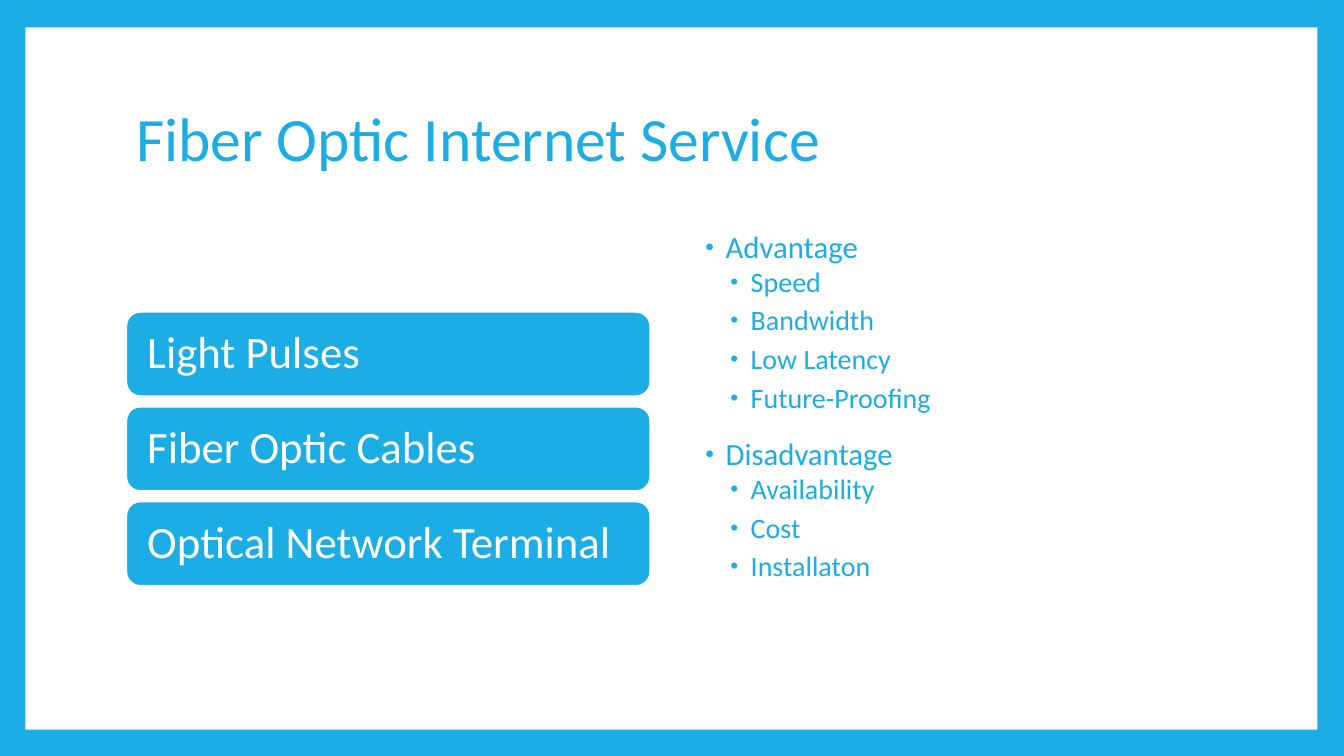
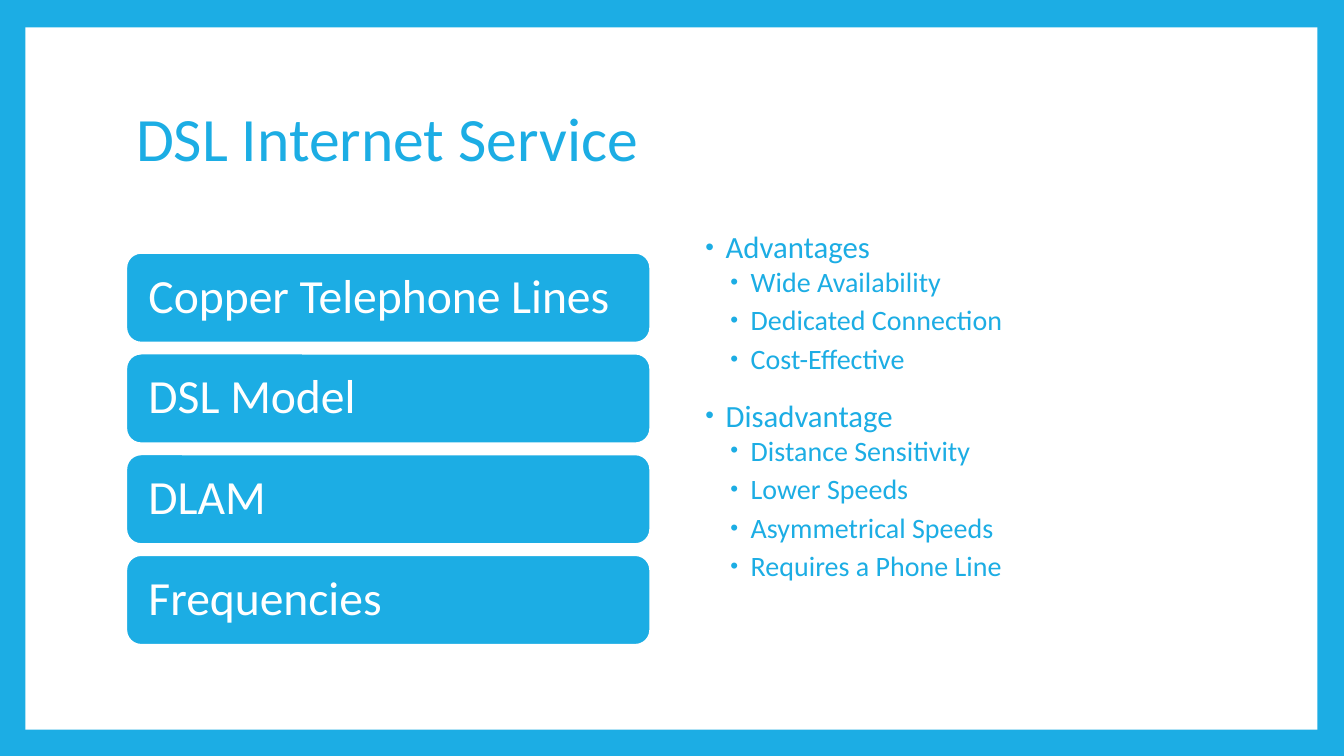
from dataclasses import dataclass
from typing import NamedTuple

from lxml import etree
from pptx import Presentation
from pptx.dml.color import RGBColor
from pptx.enum.shapes import MSO_SHAPE
from pptx.enum.text import MSO_ANCHOR, PP_ALIGN
from pptx.oxml.ns import qn
from pptx.util import Cm, Pt

RECTANGLE = MSO_SHAPE.RECTANGLE
ROUNDED = MSO_SHAPE.ROUNDED_RECTANGLE
MIDDLE = MSO_ANCHOR.MIDDLE
LEFT = PP_ALIGN.LEFT


class Box(NamedTuple):
    left: float
    top: float
    width: float
    height: float

    def lengths(self):
        return [Cm(value) for value in self]


class Level(NamedTuple):
    size: int
    margin: float
    before: int
    after: int


@dataclass(frozen=True)
class Theme:
    accent: RGBColor = RGBColor(0x1C, 0xAD, 0xE4)
    paper: RGBColor = RGBColor(0xFF, 0xFF, 0xFF)
    font: str = "Calibri"
    title_size: int = 44
    line_spacing: float = 0.9
    bar_outline: float = 1.5
    heading: Level = Level(22, 0.64, 14, 0)
    item: Level = Level(20, 1.27, 2, 4)
    hanging: float = 0.51
    bullet_percent: int = 80


THEME = Theme()
PAGE_WIDTH, PAGE_HEIGHT = 33.87, 19.05
PANEL = Box(0.64, 0.69, 32.56, 17.7)
TITLE = Box(3.18, 1.7, 27.43, 3.76)
BARS = Box(3.18, 5.72, 13.21, 11.18)
POINTS = Box(17.4, 5.72, 13.21, 11.18)

SERVICES = [
    {
        "title": "Fiber Optic Internet Service",
        "bars": ["Light Pulses", "Fiber Optic Cables", "Optical Network Terminal"],
        "bar_size": 32,
        "points": {
            "Advantage": ["Speed", "Bandwidth", "Low Latency", "Future-Proofing"],
            "Disadvantage": ["Availability", "Cost", "Installaton"],
        },
    },
    {
        "title": "DSL Internet Service",
        "bars": ["Copper Telephone Lines", "DSL Model", "DLAM", "Frequencies"],
        "bar_size": 34,
        "points": {
            "Advantages": ["Wide Availability", "Dedicated Connection", "Cost-Effective"],
            "Disadvantage": [
                "Distance Sensitivity",
                "Lower Speeds",
                "Asymmetrical Speeds",
                "Requires a Phone Line",
            ],
        },
    },
]


def write(para, text, size, color):
    para.text = text
    para.alignment = LEFT
    para.line_spacing = THEME.line_spacing
    para.font.name = THEME.font
    para.font.size = Pt(size)
    para.font.color.rgb = color


def add_filled(page, kind, box, color):
    shape = page.shapes.add_shape(kind, *box.lengths())
    shape.shadow.inherit = False
    shape.fill.solid()
    shape.fill.fore_color.rgb = color
    shape.line.fill.background()
    return shape


def add_text_frame(page, box):
    frame = page.shapes.add_textbox(*box.lengths()).text_frame
    frame.word_wrap = True
    return frame


def add_bullet(para, margin):
    properties = para._p.get_or_add_pPr()
    properties.set("marL", str(Cm(margin)))
    properties.set("indent", str(-Cm(THEME.hanging)))
    color = etree.SubElement(properties, qn("a:buClr"))
    etree.SubElement(color, qn("a:srgbClr"), val=str(THEME.accent))
    etree.SubElement(properties, qn("a:buSzPct"), val=str(THEME.bullet_percent * 1000))
    etree.SubElement(properties, qn("a:buFont"), typeface="Arial")
    etree.SubElement(properties, qn("a:buChar"), char="•")


def add_frame(page, box):
    page.background.fill.solid()
    page.background.fill.fore_color.rgb = THEME.accent
    add_filled(page, RECTANGLE, box, THEME.paper)


def add_title(page, box, text):
    frame = add_text_frame(page, box)
    frame.vertical_anchor = MIDDLE
    write(frame.paragraphs[0], text, THEME.title_size, THEME.accent)


def add_bars(page, box, labels, size):
    height = size / 15
    pitch = height + size / 125
    stack = pitch * (len(labels) - 1) + height
    top = box.top + (box.height - stack) / 2
    for index, label in enumerate(labels):
        place = Box(box.left, top + index * pitch, box.width, height)
        bar = add_filled(page, ROUNDED, place, THEME.accent)
        bar.line.color.rgb = THEME.paper
        bar.line.width = Pt(THEME.bar_outline)
        frame = bar.text_frame
        frame.word_wrap = True
        frame.vertical_anchor = MIDDLE
        frame.margin_left = frame.margin_right = Cm(size / 75)
        write(frame.paragraphs[0], label, size, THEME.paper)


def add_points(page, box, groups):
    frame = add_text_frame(page, box)
    lines = []
    for heading, items in groups.items():
        lines.append((heading, THEME.heading))
        lines.extend((item, THEME.item) for item in items)
    for index, (text, level) in enumerate(lines):
        para = frame.add_paragraph() if index else frame.paragraphs[0]
        add_bullet(para, level.margin)
        write(para, text, level.size, THEME.accent)
        para.space_before = Pt(level.before if index else 0)
        para.space_after = Pt(level.after)


def add_service(deck, service):
    page = deck.slides.add_slide(deck.slide_layouts[6])
    add_frame(page, PANEL)
    add_title(page, TITLE, service["title"])
    add_bars(page, BARS, service["bars"], service["bar_size"])
    add_points(page, POINTS, service["points"])


def main():
    deck = Presentation()
    deck.slide_width = Cm(PAGE_WIDTH)
    deck.slide_height = Cm(PAGE_HEIGHT)
    for service in SERVICES:
        add_service(deck, service)
    deck.save("out.pptx")


if __name__ == "__main__":
    main()
